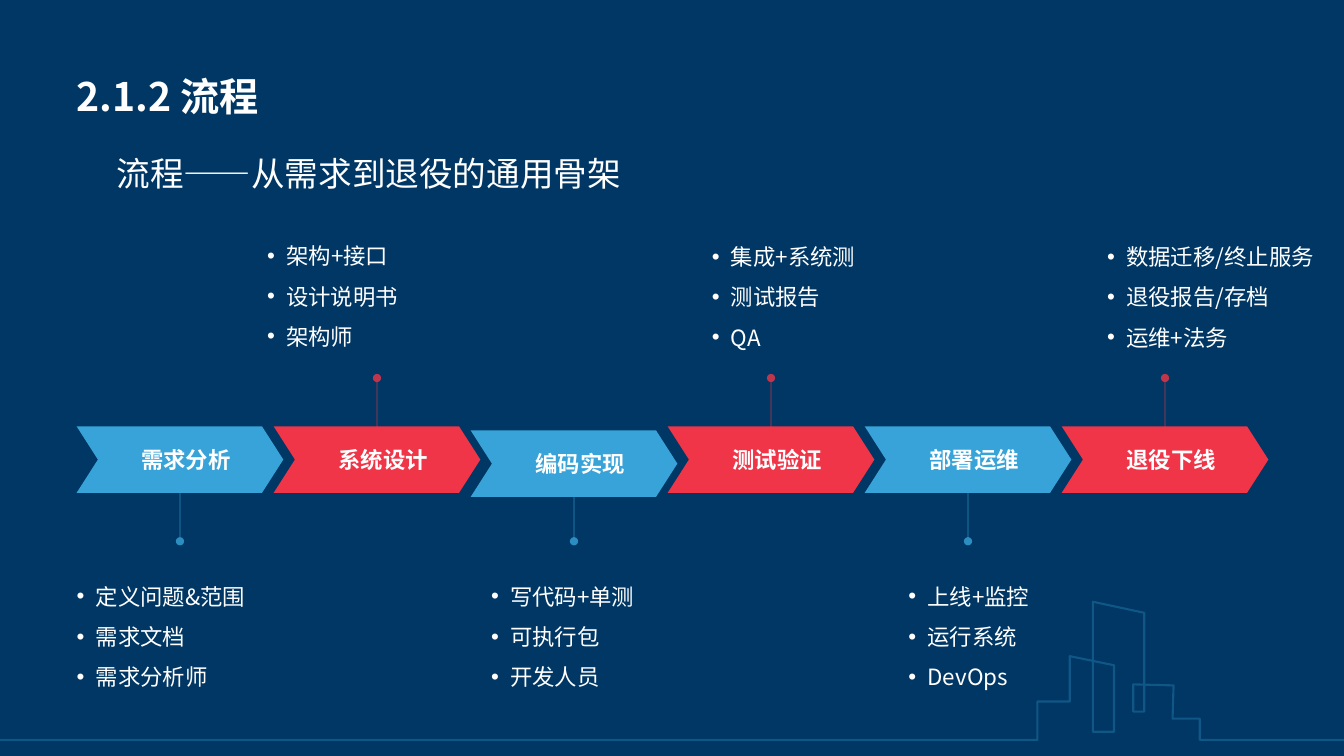
from lxml import etree
from pptx import Presentation
from pptx import util as u
from pptx.dml.color import RGBColor
from pptx.enum import shapes, text
from pptx.oxml.ns import qn

FONT = "Noto Sans CJK SC"
WHITE, NAVY, BLUE, RED = "FFFFFF", "003764", "38A3D8", "EF3547"
SKYLINE = [
    (13.33, 7.34), (11.9, 7.34), (11.9, 7.13), (11.63, 7.13), (11.64, 6.8),
    (11.24, 6.79), (11.24, 7.06), (11.35, 7.06), (11.35, 6.08), (10.84, 5.97),
    (10.84, 7.26), (11.05, 7.26), (11.05, 6.6), (10.61, 6.51), (10.61, 6.96),
    (10.29, 6.96), (10.29, 7.34), (0, 7.34),
]
STAGES = [
    ("需求分析", 4.23, (0.76, 5.65, 2.34, 1.5), ["定义问题&范围", "需求文档", "需求分析师"]),
    ("系统设计", 4.23, (2.65, 1.98, 2.34, 1.49), ["架构+接口", "设计说明书", "架构师"]),
    ("编码实现", 4.27, (4.87, 5.65, 1.75, 1.5), ["写代码+单测", "可执行包", "开发人员"]),
    ("测试验证", 4.23, (7.06, 1.98, 2.34, 1.5), ["集成+系统测", "测试报告", "QA"]),
    ("部署运维", 4.23, (9.01, 5.65, 1.75, 1.5), ["上线+监控", "运行系统", "DevOps"]),
    ("退役下线", 4.23, (10.98, 1.98, 2.09, 1.5), ["数据迁移/终止服务", "退役报告/存档", "运维+法务"]),
]


def rgb(value):
    return RGBColor.from_string(value)


def inches(box):
    return [u.Inches(v) for v in box]


def write(tf, lines, size=16, bold=False, align=text.PP_ALIGN.LEFT,
          anchor=text.MSO_ANCHOR.TOP, insets=(0, 0, 0, 0), bullets=False, spacing=None):
    tf.word_wrap = True
    tf.auto_size = text.MSO_AUTO_SIZE.NONE
    tf.vertical_anchor = anchor
    tf.margin_left, tf.margin_top, tf.margin_right, tf.margin_bottom = inches(insets)
    for i, line in enumerate(lines):
        p = tf.add_paragraph() if i else tf.paragraphs[0]
        p.alignment = align
        if spacing:
            p.line_spacing = spacing
        if bullets:
            pPr = p._p.get_or_add_pPr()
            pPr.set("marL", str(u.Inches(0.19)))
            pPr.set("indent", str(u.Inches(-0.19)))
            etree.SubElement(pPr, qn("a:buFont")).set("typeface", "Arial")
            etree.SubElement(pPr, qn("a:buChar")).set("char", "•")
        r = p.add_run()
        r.text = line
        r.font.size = u.Pt(size)
        r.font.bold = bold
        r.font.name = FONT
        r.font.color.rgb = rgb(WHITE)
        etree.SubElement(r._r.get_or_add_rPr(), qn("a:ea")).set("typeface", FONT)


def stroke(line, color, width, opacity):
    line.color.rgb = rgb(color)
    line.width = u.Pt(width)
    fill = line._get_or_add_ln().find(qn("a:solidFill"))
    etree.SubElement(fill[0], qn("a:alpha")).set("val", str(opacity * 1000))


def add_skyline(s):
    points = [inches(point) for point in SKYLINE]
    builder = s.shapes.build_freeform(*points[0])
    builder.add_line_segments(points[1:], close=False)
    sp = builder.convert_to_shape()
    sp.shadow.inherit = False
    sp.fill.background()
    stroke(sp.line, BLUE, 1.5, 30)


def add_headings(s):
    title = s.shapes.title
    title.left, title.top, title.width, title.height = inches((0.76, 0.39, 11.81, 0.79))
    write(title.text_frame, ["2.1.2 流程"], size=28, bold=True, anchor=text.MSO_ANCHOR.BOTTOM)
    sp = s.shapes.add_textbox(*inches((1.06, 1.47, 5.56, 0.5)))
    write(sp.text_frame, ["流程——从需求到退役的通用骨架"], size=24, insets=(0.1, 0.05, 0.1, 0.05))


def add_chevron(s, box, label, color):
    sp = s.shapes.add_shape(shapes.MSO_SHAPE.CHEVRON, *inches(box))
    sp.adjustments[0] = 0.32
    sp.shadow.inherit = False
    sp.fill.solid()
    sp.fill.fore_color.rgb = rgb(color)
    sp.line.fill.background()
    write(sp.text_frame, [label], bold=True, align=text.PP_ALIGN.CENTER,
          anchor=text.MSO_ANCHOR.MIDDLE, insets=(0.3, 0.13, 0.18, 0.13))


def add_pin(s, x, start, end, color):
    pin = s.shapes.add_connector(shapes.MSO_CONNECTOR.STRAIGHT, *inches((x, start, x, end)))
    stroke(pin.line, color, 0.5, 80)
    etree.SubElement(pin.line._get_or_add_ln(), qn("a:tailEnd")).set("type", "oval")
    etree.SubElement(pin._element.spPr, qn("a:effectLst"))


def add_stage(s, index, label, top, notes_box, notes):
    above = index % 2 == 1
    color = RED if above else BLUE
    left, width = 0.76 + 1.954 * index, 2.05
    add_chevron(s, (left, top, width, 0.66), label, color)
    start, end = (4.24, 3.75) if above else (4.87, 5.37)
    add_pin(s, left + width / 2, start, end, color)
    sp = s.shapes.add_textbox(*inches(notes_box))
    anchor = text.MSO_ANCHOR.BOTTOM if above else text.MSO_ANCHOR.TOP
    write(sp.text_frame, notes, anchor=anchor, bullets=True, spacing=1.5)


def main():
    prs = Presentation()
    prs.slide_width, prs.slide_height = inches((13.33, 7.5))
    s = prs.slides.add_slide(prs.slide_layouts[5])
    s.background.fill.solid()
    s.background.fill.fore_color.rgb = rgb(NAVY)
    add_skyline(s)
    add_headings(s)
    for index, stage in enumerate(STAGES):
        add_stage(s, index, *stage)
    prs.save("out.pptx")


if __name__ == "__main__":
    main()
